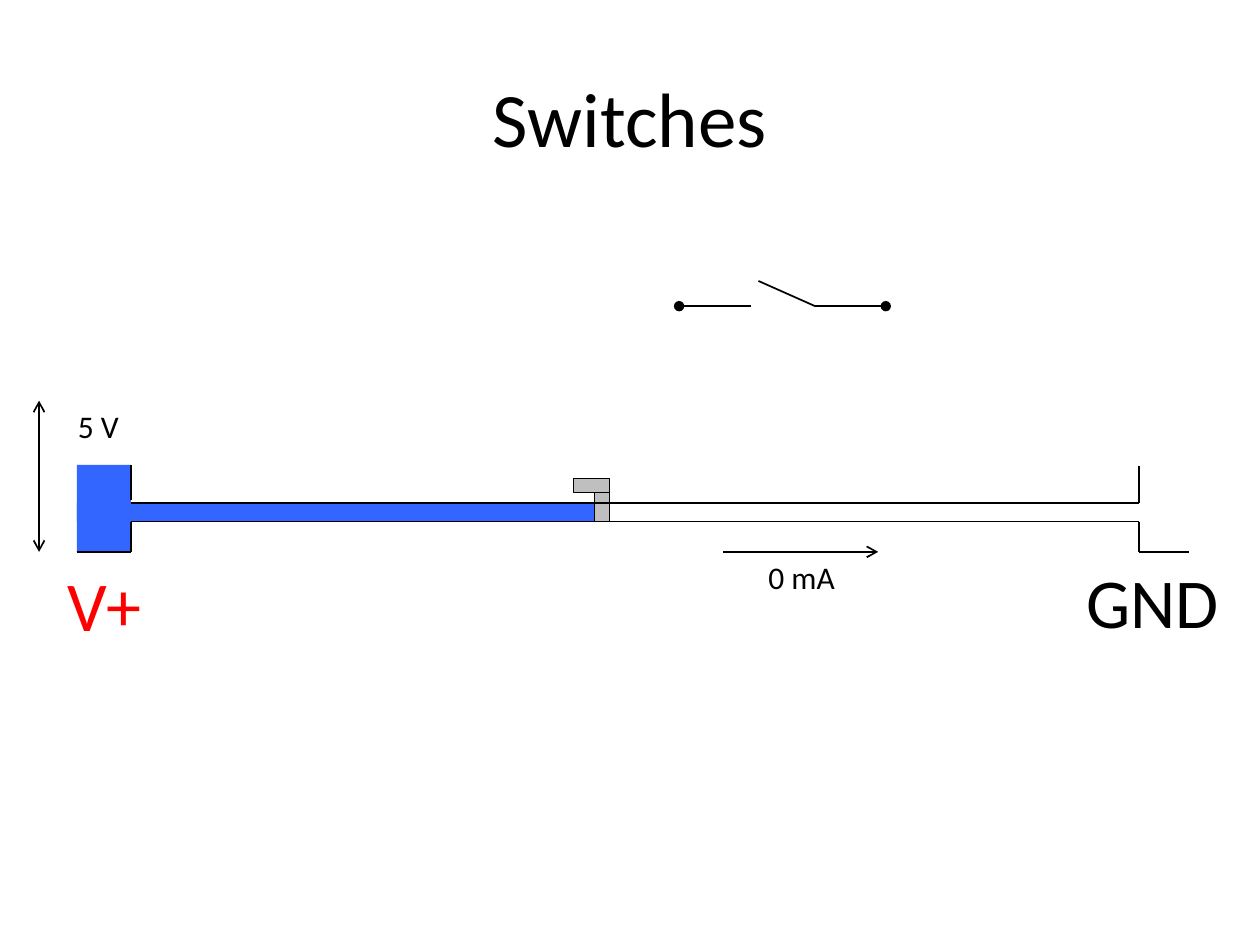
from lxml.etree import SubElement
from pptx import Presentation
from pptx.dml.color import RGBColor
from pptx.enum.shapes import MSO_CONNECTOR, MSO_SHAPE
from pptx.enum.text import MSO_ANCHOR, MSO_AUTO_SIZE, PP_ALIGN
from pptx.oxml.ns import qn
from pptx.util import Inches, Pt

COLORS = {"black": "000000", "water": "3366FF", "voltage": "FF0000", "valve": "BFBFBF"}
FONT = "Calibri"

# Levels and walls of the water channel
TANK_TOP, PIPE_TOP, PIPE_BOTTOM, FLOOR = 3.69, 3.99, 4.14, 4.38
TANK_LEFT, PIPE_LEFT, PIPE_RIGHT = 0.61, 1.04, 9.04
VALVE_LEFT, VALVE_RIGHT, VALVE_TOP = 4.72, 4.84, 3.91
SYMBOL_Y = 2.43


def format_text(text_frame, text, size, color, alignment):
    paragraph = text_frame.paragraphs[0]
    paragraph.text = text
    paragraph.alignment = alignment
    font = paragraph.runs[0].font
    font.name = FONT
    font.size = Pt(size)
    font.color.rgb = RGBColor.from_string(COLORS[color])


def add_line(x1, y1, x2, y2, head=None, tail=None):
    """Draw a black line; head is the marker at its start, tail at its end."""
    connector = slide.shapes.add_connector(
        MSO_CONNECTOR.STRAIGHT, Inches(x1), Inches(y1), Inches(x2), Inches(y2))
    connector.line.width = Pt(1)
    connector.line.color.rgb = RGBColor.from_string(COLORS["black"])
    for tag, marker in (("a:headEnd", head), ("a:tailEnd", tail)):
        if marker:
            SubElement(connector.line._get_or_add_ln(), qn(tag), type=marker)
    SubElement(connector._element.spPr, qn("a:effectLst"))


presentation = Presentation()
presentation.slide_width = Inches(10)
presentation.slide_height = Inches(7.5)
slide = presentation.slides.add_slide(presentation.slide_layouts[5])

title = slide.shapes.title
title.left, title.top, title.width, title.height = map(Inches, (0.5, 0.3, 9, 1.25))
title.text_frame.vertical_anchor = MSO_ANCHOR.MIDDLE
format_text(title.text_frame, "Switches", 44, "black", PP_ALIGN.CENTER)

# Rectangles: left, top, right, bottom, fill, outlined
rectangles = [
    (TANK_LEFT, TANK_TOP, PIPE_LEFT, FLOOR, "water", False),
    (TANK_LEFT, PIPE_TOP, VALVE_LEFT, PIPE_BOTTOM, "water", False),
    (VALVE_LEFT, VALVE_TOP, VALVE_RIGHT, PIPE_BOTTOM, "valve", True),
    (4.55, 3.8, VALVE_RIGHT, VALVE_TOP, "valve", True),
]
for left, top, right, bottom, fill, outlined in rectangles:
    shape = slide.shapes.add_shape(
        MSO_SHAPE.RECTANGLE, Inches(left), Inches(top),
        Inches(right - left), Inches(bottom - top))
    shape.shadow.inherit = False
    shape.fill.solid()
    shape.fill.fore_color.rgb = RGBColor.from_string(COLORS[fill])
    if outlined:
        shape.line.width = Pt(0.75)
        shape.line.color.rgb = RGBColor.from_string(COLORS["black"])
    else:
        shape.line.fill.background()

# Walls of the tank, pipe and drain
add_line(TANK_LEFT, FLOOR, PIPE_LEFT, FLOOR)
add_line(PIPE_LEFT, TANK_TOP, PIPE_LEFT, 3.97)
add_line(PIPE_RIGHT, 3.7, PIPE_RIGHT, PIPE_TOP)
add_line(PIPE_RIGHT, FLOOR, 9.44, FLOOR)
for y in (PIPE_TOP, PIPE_BOTTOM):
    add_line(PIPE_LEFT, y, PIPE_RIGHT, y)
for x in (PIPE_LEFT, PIPE_RIGHT):
    add_line(x, PIPE_BOTTOM, x, FLOOR)

# Current and voltage arrows
add_line(5.74, FLOOR, 6.97, FLOOR, tail="arrow")
add_line(0.31, 3.18, 0.31, FLOOR, head="arrow", tail="arrow")

# Open switch symbol
add_line(5.39, SYMBOL_Y, 5.96, SYMBOL_Y, head="oval")
add_line(6.02, 2.23, 6.47, SYMBOL_Y)
add_line(6.47, SYMBOL_Y, 7.03, SYMBOL_Y, tail="oval")

# Labels: text, left, top, width, height, size, color, wrap, alignment
labels = [
    ("0 mA", 6, 4.38, 0.73, 0.4, 18, "black", False, PP_ALIGN.LEFT),
    ("5 V", 0.52, 3.18, 0.53, 0.4, 18, "black", False, PP_ALIGN.LEFT),
    ("V+", 0.19, 4.41, 1.28, 0.77, 40, "voltage", True, PP_ALIGN.CENTER),
    ("GND", 8.35, 4.38, 1.59, 0.77, 40, "black", True, PP_ALIGN.CENTER),
]
for text, left, top, width, height, size, color, wrap, alignment in labels:
    label = slide.shapes.add_textbox(
        Inches(left), Inches(top), Inches(width), Inches(height))
    label.text_frame.word_wrap = wrap
    label.text_frame.auto_size = MSO_AUTO_SIZE.SHAPE_TO_FIT_TEXT
    format_text(label.text_frame, text, size, color, alignment)

presentation.save("out.pptx")
